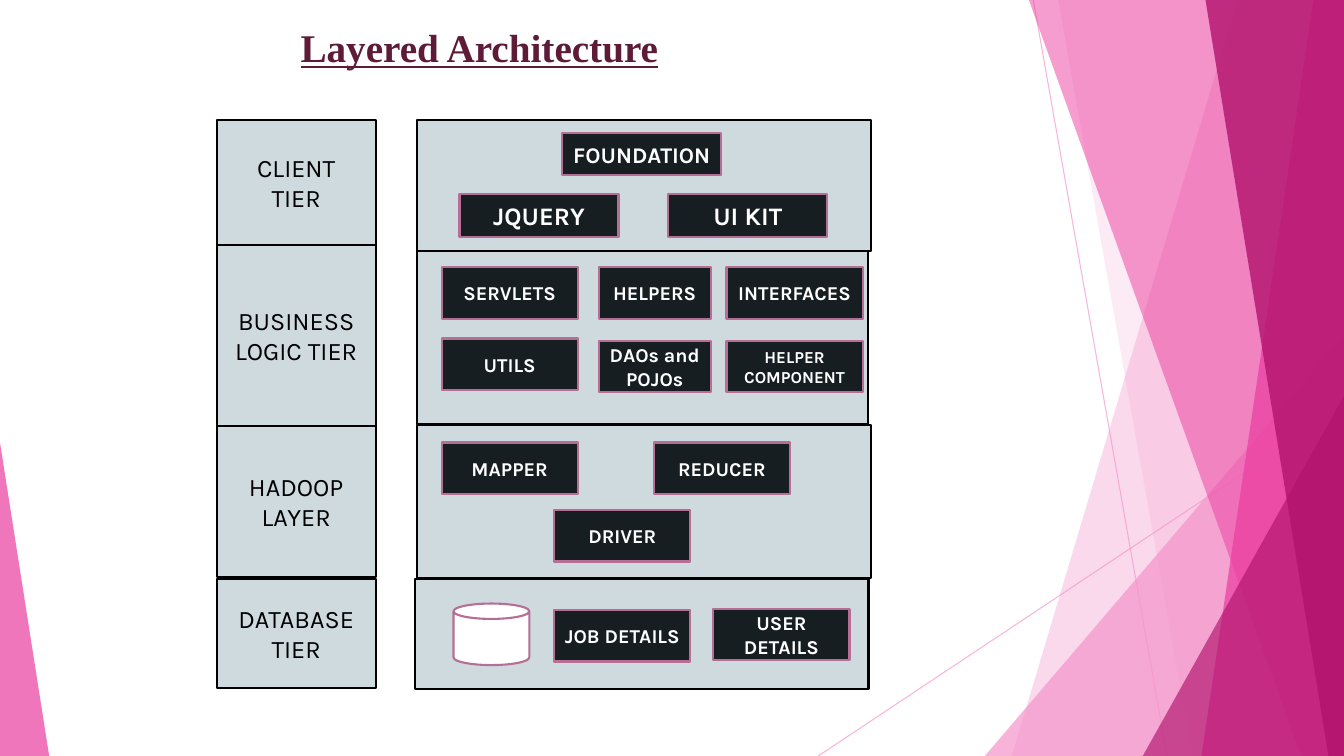
from lxml.etree import SubElement
from pptx import Presentation
from pptx.dml.color import RGBColor
from pptx.enum.shapes import MSO_CONNECTOR as Connector, MSO_SHAPE as Shape
from pptx.enum.text import MSO_ANCHOR as Anchor, PP_ALIGN as Align
from pptx.oxml.ns import qn
from pptx.util import Cm, Pt

COLORS = {
    "black": "000000", "white": "FFFFFF", "panel": "CFDADF", "module": "161E22",
    "border": "B56F96", "title": "5E1B38",
    "pale": "F496CB", "pink": "EB3D9F", "deep": "B2136D",
}
PAGE_WIDTH, PAGE_HEIGHT = 33.87, 19.05
TIER_LEFT, TIER_WIDTH = 5.46, 4.01
MODULE_WIDTH, HELPER_WIDTH, MODULE_HEIGHT = 3.43, 2.82, 1.3
CLIENT_WIDTH, CLIENT_HEIGHT = 4.01, 1.07

RAYS = [((26.04, 0), (29.41, PAGE_HEIGHT)), ((PAGE_WIDTH, 10.24), (20.62, PAGE_HEIGHT))]
BANDS_BACK = [(31.19, 25.5, "pale", 36), (26.67, 30.05, "pale", 20)]
BANDS_MIDDLE = [(25.93, 32.79, "pink", 50), (33.1, 30.28, "pink", 70), (30.38, 33.48, "deep", 80)]

TIERS = [
    ("CLIENT\nTIER", 3.02, 3.15),
    ("BUSINESS LOGIC TIER", 6.17, 4.57),
    ("HADOOP LAYER", 10.74, 3.81),
    ("DATABASE\nTIER", 14.6, 2.74),
]
PANELS = [
    (10.52, 10.72, 11.43, 3.84),
    (10.52, 6.17, 11.35, 4.52),
    (10.52, 3.02, 11.43, 3.3),
    (10.46, 14.6, 11.43, 2.77),
]
CLIENT_MODULES = [
    ("FOUNDATION", 14.17, 3.35, 16), ("JQUERY", 11.58, 4.9, 18), ("UI KIT", 16.84, 4.9, 18),
]
MODULES = [
    ("SERVLETS", 11.13, 6.73, MODULE_WIDTH, 14),
    ("HELPERS", 15.09, 6.73, HELPER_WIDTH, 14),
    ("INTERFACES", 18.31, 6.73, MODULE_WIDTH, 14),
    ("UTILS", 11.13, 8.53, MODULE_WIDTH, 14),
    ("DAOs and POJOs", 15.09, 8.59, HELPER_WIDTH, 14),
    ("HELPER COMPONENT", 18.31, 8.59, MODULE_WIDTH, 12),
    ("MAPPER", 11.13, 11.15, MODULE_WIDTH, 14),
    ("REDUCER", 16.48, 11.15, MODULE_WIDTH, 14),
    ("DRIVER", 13.97, 12.85, MODULE_WIDTH, 14),
    ("JOB DETAILS", 13.97, 15.37, MODULE_WIDTH, 14),
    ("USER DETAILS", 17.98, 15.34, MODULE_WIDTH, 14),
]


def color(name):
    """Return the named colour."""
    return RGBColor.from_string(COLORS[name])


def set_opacity(paint, percent):
    """Give the solid colour inside an element an opacity."""
    tone = next(paint.iter(qn("a:srgbClr")))
    SubElement(tone, qn("a:alpha")).set("val", str(percent * 1000))


def write(shape, text, size, fill, font="Karla", bold=False, underline=False,
          align=Align.CENTER, wrap=True):
    """Write formatted text in a shape, one paragraph for each line."""
    frame = shape.text_frame
    frame.text = text
    frame.word_wrap = wrap
    frame.vertical_anchor = Anchor.MIDDLE
    for para in frame.paragraphs:
        para.alignment = align
        for span in para.runs:
            span.font.name = font
            span.font.size = Pt(size)
            span.font.bold = bold
            span.font.underline = underline
            span.font.color.rgb = color(fill)


def add_block(page, left, top, width, height, fill, line, kind=Shape.RECTANGLE):
    """Add a filled and outlined shape."""
    block = page.shapes.add_shape(kind, Cm(left), Cm(top), Cm(width), Cm(height))
    block.shadow.inherit = False
    block.fill.solid()
    block.fill.fore_color.rgb = color(fill)
    block.line.color.rgb = color(line)
    block.line.width = Pt(1.5)
    return block


def add_module(page, text, left, top, width, height, size):
    """Add a dark labelled module."""
    module = add_block(page, left, top, width, height, "module", "border")
    write(module, text, size, "white", bold=True)


def tint(shape, fill, opacity):
    """Give a decorative shape a see-through fill and no outline."""
    shape.shadow.inherit = False
    shape.fill.solid()
    shape.fill.fore_color.rgb = color(fill)
    shape.line.fill.background()
    set_opacity(shape.element.spPr, opacity)


def add_ray(page, start, end):
    """Add a thin see-through line."""
    ray = page.shapes.add_connector(Connector.STRAIGHT, *map(Cm, start + end))
    ray.line.color.rgb = color("pale")
    ray.line.width = Pt(0.75)
    set_opacity(ray.element.spPr, 70)
    SubElement(ray.element.spPr, qn("a:effectLst"))


def add_band(page, top_left, bottom_left, fill, opacity):
    """Add a full-height band that reaches the right edge."""
    builder = page.shapes.build_freeform(Cm(top_left), 0)
    corners = [(PAGE_WIDTH, 0), (PAGE_WIDTH, PAGE_HEIGHT), (bottom_left, PAGE_HEIGHT)]
    builder.add_line_segments([(Cm(x), Cm(y)) for x, y in corners])
    tint(builder.convert_to_shape(), fill, opacity)


def add_wedge(page, left, top, width, apex, fill, opacity):
    """Add a triangle that stands on the bottom edge."""
    wedge = page.shapes.add_shape(
        Shape.ISOSCELES_TRIANGLE, Cm(left), Cm(top), Cm(width), Cm(PAGE_HEIGHT - top))
    wedge.adjustments[0] = apex
    tint(wedge, fill, opacity)


def add_backdrop(page):
    """Draw the pink facets behind the content."""
    for start, end in RAYS:
        add_ray(page, start, end)
    for band in BANDS_BACK:
        add_band(page, *band)
    add_wedge(page, 24.82, 8.46, 9.05, 1, "pale", 72)
    for band in BANDS_MIDDLE:
        add_band(page, *band)
    add_wedge(page, 28.8, 9.98, 5.07, 1, "deep", 66)
    add_wedge(page, 0, 11.15, 1.24, 0, "pink", 70)


def add_title(page, text):
    """Move and format the title placeholder."""
    title = page.shapes.title
    title.left, title.top, title.width, title.height = map(Cm, (7.32, 0.46, 9.63, 1.45))
    write(title, text, 28, "title", font="Times New Roman", bold=True, underline=True,
          align=Align.LEFT, wrap=False)


def main():
    """Build the slide and save it."""
    deck = Presentation()
    deck.slide_width, deck.slide_height = Cm(PAGE_WIDTH), Cm(PAGE_HEIGHT)
    page = deck.slides.add_slide(deck.slide_layouts[5])
    add_backdrop(page)
    add_title(page, "Layered Architecture")
    for text, top, height in TIERS:
        tier = add_block(page, TIER_LEFT, top, TIER_WIDTH, height, "panel", "black")
        write(tier, text, 18, "black")
    for panel in PANELS:
        add_block(page, *panel, "panel", "black")
    for text, left, top, size in CLIENT_MODULES:
        add_module(page, text, left, top, CLIENT_WIDTH, CLIENT_HEIGHT, size)
    for text, left, top, width, size in MODULES:
        add_module(page, text, left, top, width, MODULE_HEIGHT, size)
    add_block(page, 11.43, 15.21, 1.91, 1.55, "white", "border", Shape.CAN)
    deck.save("out.pptx")


if __name__ == "__main__":
    main()
